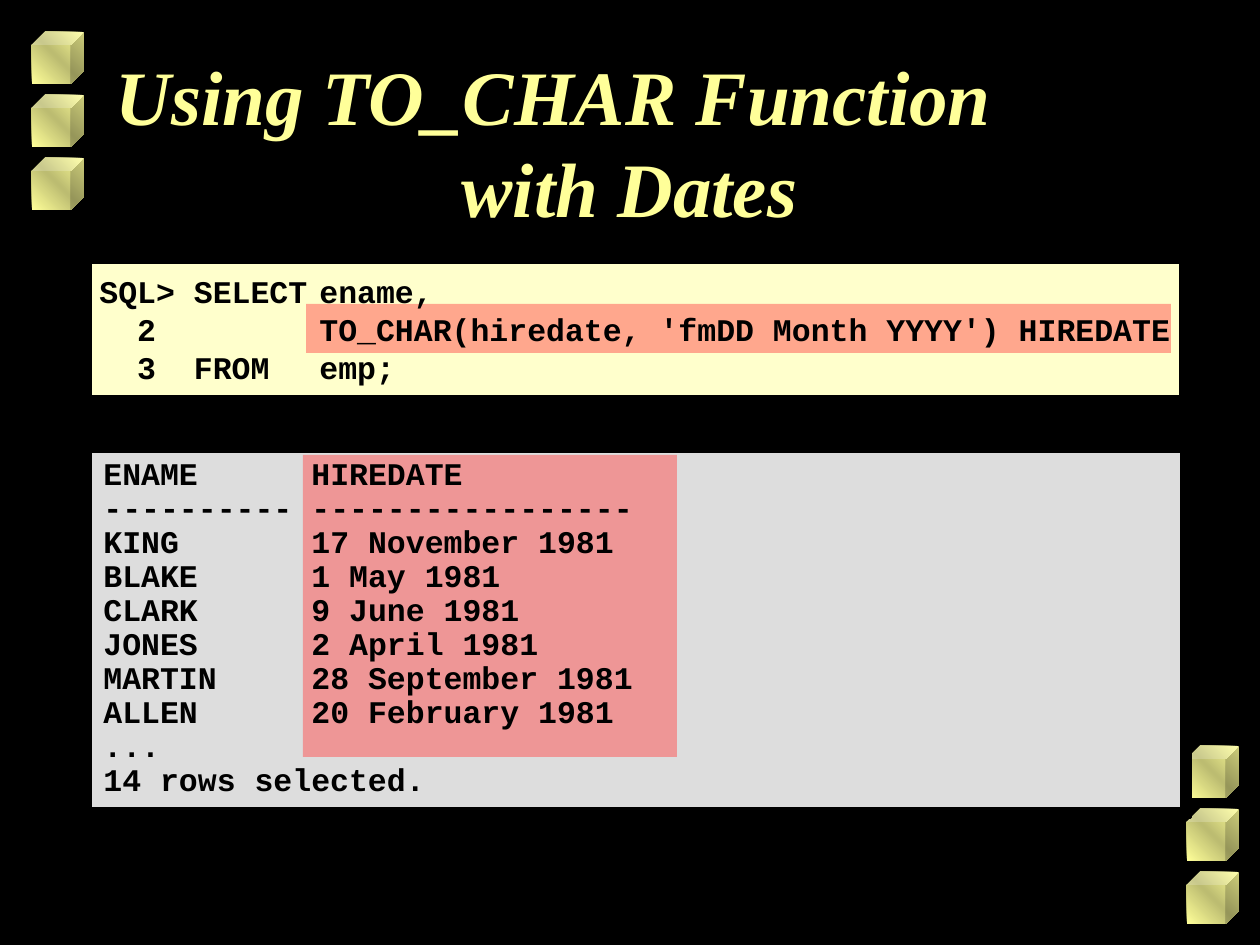
from dataclasses import dataclass

from lxml import etree
from pptx import Presentation
from pptx.dml.color import RGBColor
from pptx.enum.shapes import MSO_SHAPE
from pptx.enum.text import MSO_ANCHOR, PP_ALIGN
from pptx.oxml.ns import qn
from pptx.util import Emu, Pt

CUBE, RECT = MSO_SHAPE.CUBE, MSO_SHAPE.RECTANGLE
TOP, MIDDLE = MSO_ANCHOR.TOP, MSO_ANCHOR.MIDDLE
LEFT = PP_ALIGN.LEFT
TITLE_ONLY = 5
EMU_PER_PX = 914400 / 126


def px(length):
    return Emu(round(length * EMU_PER_PX))


@dataclass(frozen=True)
class Theme:
    ink: str = "000000"
    gold: str = "FFFF99"
    olive: str = "BCBC71"
    code_panel: str = "FFFFCC"
    output_panel: str = "DDDDDD"
    highlight: str = "FF5050"
    title_font: str = "Times New Roman"
    code_font: str = "Courier New"
    title_size: int = 44
    code_size: int = 18


def add_element(parent, tag, **attributes):
    return etree.SubElement(parent, qn(tag), {key: str(value) for key, value in attributes.items()})


def write_text(frame, lines, font, size, color, italic=False, spacing=1.0, tab=None, hanging=0):
    for index, line in enumerate(lines):
        para = frame.paragraphs[0] if index == 0 else frame.add_paragraph()
        para.text = line
        para.alignment = LEFT
        para.line_spacing = spacing
        properties = para._p.get_or_add_pPr()
        if hanging:
            properties.set("marL", str(px(hanging)))
            properties.set("indent", str(-px(hanging)))
        if tab:
            add_element(add_element(properties, "a:tabLst"), "a:tab", pos=px(tab), algn="l")
        for span in para.runs:
            span.font.name = font
            span.font.size = Pt(size)
            span.font.bold = True
            span.font.italic = italic
            span.font.color.rgb = RGBColor.from_string(color)


class SlideBuilder:
    def __init__(self, page, theme):
        self.page = page
        self.theme = theme
        page.background.fill.solid()
        page.background.fill.fore_color.rgb = RGBColor.from_string(theme.ink)

    def shape(self, kind, left, top, width, height):
        shape = self.page.shapes.add_shape(kind, px(left), px(top), px(width), px(height))
        shape.shadow.inherit = False
        shape.line.fill.background()
        return shape

    def rectangle(self, color, *place):
        shape = self.shape(RECT, *place)
        shape.fill.solid()
        shape.fill.fore_color.rgb = RGBColor.from_string(color)
        return shape

    def cube(self, left, top, side):
        properties = self.shape(CUBE, left, top, side, side)._element.spPr
        gradient = etree.Element(qn("a:gradFill"), rotWithShape="0")
        stops = add_element(gradient, "a:gsLst")
        for percent, color in ((0, self.theme.gold), (50, self.theme.olive), (100, self.theme.gold)):
            stop = add_element(stops, "a:gs", pos=percent * 1000)
            add_element(stop, "a:srgbClr", val=color)
        add_element(gradient, "a:lin", ang=315 * 60000, scaled=1)
        properties.find(qn("a:prstGeom")).addnext(gradient)

    def panel(self, color, *place):
        shape = self.rectangle(color, *place)
        shape.line.color.rgb = RGBColor.from_string(self.theme.ink)
        shape.line.width = Pt(2)
        effects = shape._element.spPr.find(qn("a:effectLst"))
        shadow = add_element(effects, "a:outerShdw", dist=Pt(7.1), dir=45 * 60000, algn="ctr", rotWithShape=0)
        add_element(shadow, "a:srgbClr", val=self.theme.ink)

    def highlight(self, *place):
        shape = self.rectangle(self.theme.highlight, *place)
        color = shape._element.spPr.find(qn("a:solidFill")).find(qn("a:srgbClr"))
        add_element(color, "a:alpha", val=50000)

    def title(self, text, left, top, width, height, hanging):
        box = self.page.shapes.title
        box.left, box.top, box.width, box.height = map(px, (left, top, width, height))
        box.text_frame.vertical_anchor = TOP
        write_text(box.text_frame, [text], self.theme.title_font, self.theme.title_size,
                   self.theme.gold, italic=True, hanging=hanging)

    def listing(self, lines, left, top, width, height, anchor, tab, spacing=1.0):
        box = self.page.shapes.add_textbox(px(left), px(top), px(width), px(height))
        box.text_frame.word_wrap = True
        box.text_frame.vertical_anchor = anchor
        write_text(box.text_frame, lines, self.theme.code_font, self.theme.code_size,
                   self.theme.ink, spacing=spacing, tab=tab)


def main():
    theme = Theme()
    deck = Presentation()
    deck.slide_width, deck.slide_height = px(1260), px(945)
    builder = SlideBuilder(deck.slides.add_slide(deck.slide_layouts[TITLE_ONLY]), theme)

    for left, top in ((32, 32), (1187, 746)):
        for step in range(3):
            builder.cube(left, top + 63 * step, 52)

    builder.panel(theme.code_panel, 90, 262, 1091, 135)
    builder.panel(theme.output_panel, 90, 451, 1092, 358)
    builder.title("Using TO_CHAR Function\vwith Dates", 103, 42, 1062, 158, hanging=346)
    builder.highlight(306, 304, 865, 49)
    builder.highlight(303, 455, 374, 302)

    query = [
        "SQL> SELECT\tename,",
        "  2\tTO_CHAR(hiredate, 'fmDD Month YYYY') HIREDATE",
        "  3  FROM\temp;",
    ]
    builder.listing(query, 87, 236, 1120, 186, MIDDLE, tab=220)

    rows = [
        ("ENAME", "HIREDATE"),
        ("-" * 10, "-" * 17),
        ("KING", "17 November 1981"),
        ("BLAKE", "1 May 1981"),
        ("CLARK", "9 June 1981"),
        ("JONES", "2 April 1981"),
        ("MARTIN", "28 September 1981"),
        ("ALLEN", "20 February 1981"),
        ("...",),
        ("14 rows selected.",),
    ]
    output = ["\t".join(row) for row in rows]
    builder.listing(output, 91, 452, 1000, 354, TOP, tab=208, spacing=0.9)

    deck.save("out.pptx")


if __name__ == "__main__":
    main()
